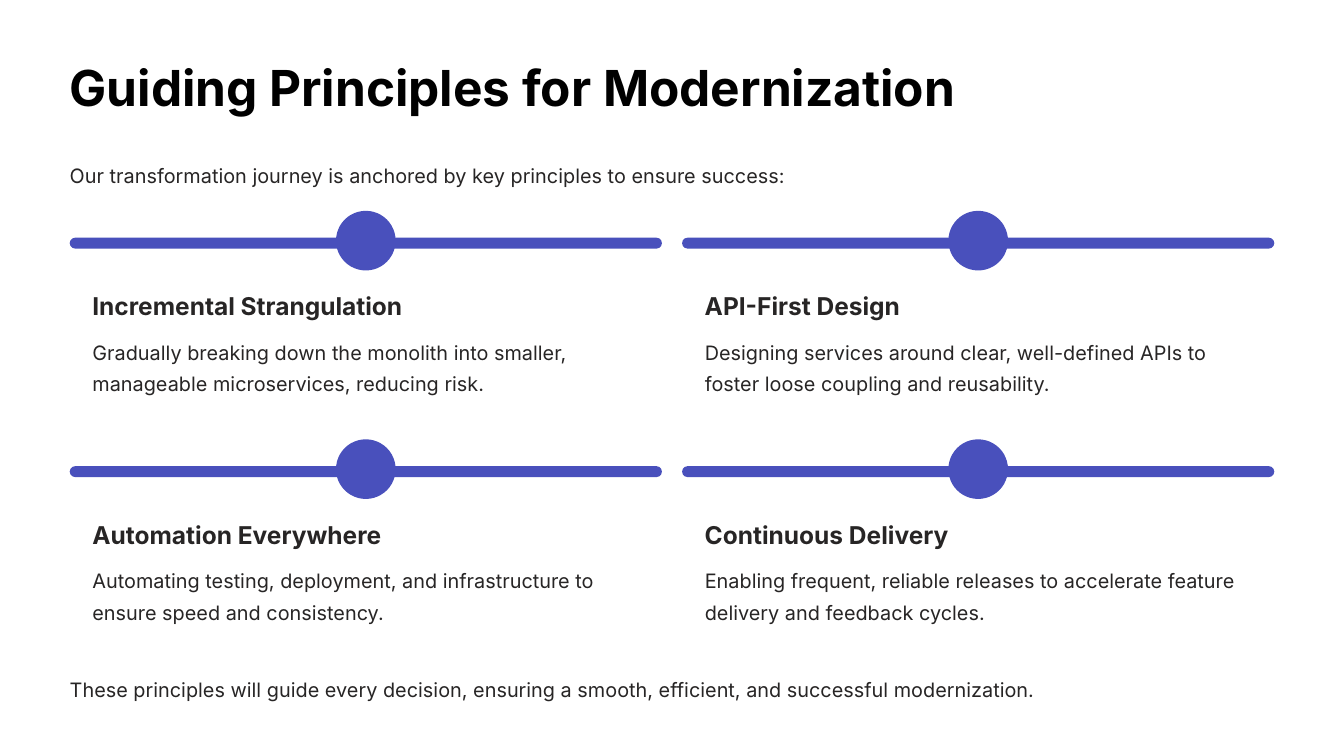
import pptx
import pptx.dml.color
import pptx.enum.shapes
import pptx.enum.text
import pptx.util

Inches = pptx.util.Inches
Pt = pptx.util.Pt
RGBColor = pptx.dml.color.RGBColor

WHITE = RGBColor(0xFF, 0xFF, 0xFF)
BLACK = RGBColor(0x00, 0x00, 0x00)
CHARCOAL = RGBColor(0x27, 0x25, 0x25)
INDIGO = RGBColor(0x49, 0x50, 0xBC)

# Text styles: font attributes, colour and line spacing
TITLE = {"font": {"size": Pt(42.5), "bold": True}, "color": BLACK, "spacing": Pt(53)}
HEADING = {"font": {"size": Pt(21), "bold": True}, "color": CHARCOAL, "spacing": Pt(26.5)}
BODY = {"font": {"size": Pt(17), "bold": False}, "color": CHARCOAL, "spacing": Pt(27)}

# Grid of principles
MARGIN = 0.83
FIRST_CARD_TOP = 2.86
COLUMN_STEP, ROW_STEP = 7.29, 2.72
CARD_WIDTH, CARD_HEIGHT = 7.05, 2.13
MARKER_SIZE = 0.71
COLUMNS = 2

PRINCIPLES = [
    ("Incremental Strangulation",
     "Gradually breaking down the monolith into smaller, manageable microservices, reducing risk."),
    ("API-First Design",
     "Designing services around clear, well-defined APIs to foster loose coupling and reusability."),
    ("Automation Everywhere",
     "Automating testing, deployment, and infrastructure to ensure speed and consistency."),
    ("Continuous Delivery",
     "Enabling frequent, reliable releases to accelerate feature delivery and feedback cycles."),
]


def write_text(holder, text, style, wrap):
    """Fill a text box or placeholder with one styled paragraph."""
    frame = holder.text_frame
    frame_format = {
        "margin_left": 0, "margin_top": 0, "margin_right": 0, "margin_bottom": 0,
        "word_wrap": wrap,
        "auto_size": pptx.enum.text.MSO_AUTO_SIZE.NONE,
        "vertical_anchor": pptx.enum.text.MSO_ANCHOR.TOP,
    }
    for attribute, value in frame_format.items():
        setattr(frame, attribute, value)
    paragraph = frame.paragraphs[0]
    paragraph.alignment = pptx.enum.text.PP_ALIGN.LEFT
    paragraph.line_spacing = style["spacing"]
    run = paragraph.add_run()
    run.text = text
    run.font.name = "Inter"
    run.font.color.rgb = style["color"]
    for attribute, value in style["font"].items():
        setattr(run.font, attribute, value)


def add_title(slide, text):
    title = slide.shapes.title
    place = {"left": MARGIN, "top": 0.65, "width": 10.57, "height": 0.74}
    for attribute, value in place.items():
        setattr(title, attribute, Inches(value))
    write_text(title, text, TITLE, wrap=False)


def add_text(slide, left, top, width, height, text, style, wrap=False):
    box = slide.shapes.add_textbox(
        Inches(left), Inches(top), Inches(width), Inches(height))
    write_text(box, text, style, wrap)


def add_rounded(slide, left, top, width, height, rounding, color):
    rounded = slide.shapes.add_shape(
        pptx.enum.shapes.MSO_SHAPE.ROUNDED_RECTANGLE,
        Inches(left), Inches(top), Inches(width), Inches(height))
    rounded.adjustments[0] = rounding
    rounded.shadow.inherit = False
    rounded.fill.solid()
    rounded.fill.fore_color.rgb = color
    rounded.line.fill.background()


def add_principle(slide, left, top, heading, description):
    """White card with a bar and round marker on top, then its text."""
    add_rounded(slide, left, top, CARD_WIDTH, CARD_HEIGHT, 0.08, WHITE)
    add_rounded(slide, left, top - 0.03, CARD_WIDTH, 0.13, 0.5, INDIGO)
    marker_left = left + (CARD_WIDTH - MARKER_SIZE) / 2
    add_rounded(slide, marker_left, top - 0.35, MARKER_SIZE, MARKER_SIZE, 0.5, INDIGO)
    text_left = left + 0.27
    add_text(slide, text_left, top + 0.59, 3.74, 0.37, heading, HEADING)
    add_text(slide, text_left, top + 1.1, 6.51, 0.76, description, BODY, wrap=True)


def main():
    deck = pptx.Presentation()
    deck.slide_width, deck.slide_height = Inches(16), Inches(9)
    slide = deck.slides.add_slide(deck.slide_layouts.get_by_name("Title Only"))
    slide.background.fill.solid()
    slide.background.fill.fore_color.rgb = WHITE

    # Title and introduction
    add_title(slide, "Guiding Principles for Modernization")
    add_text(slide, MARGIN, 1.86, 14.35, 0.38,
             "Our transformation journey is anchored by key principles to ensure success:", BODY)

    # Four principles, two to a row
    for index, (heading, description) in enumerate(PRINCIPLES):
        row, column = divmod(index, COLUMNS)
        add_principle(slide, MARGIN + column * COLUMN_STEP,
                      FIRST_CARD_TOP + row * ROW_STEP, heading, description)

    # Closing statement
    add_text(slide, MARGIN, 7.97, 14.35, 0.38,
             "These principles will guide every decision, ensuring a smooth, efficient, "
             "and successful modernization.", BODY)

    deck.save("out.pptx")


if __name__ == "__main__":
    main()
